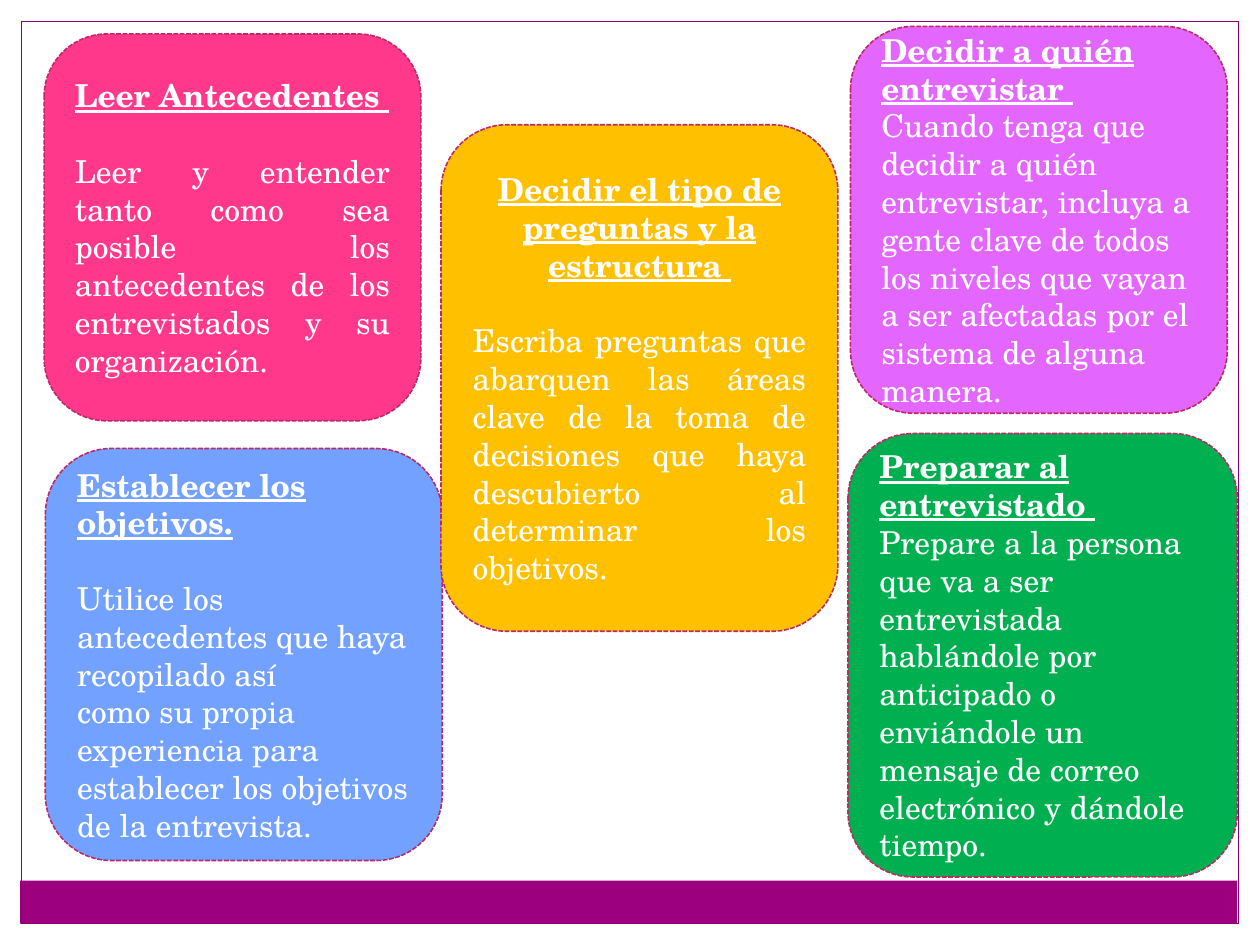
import pptx
import pptx.util
import pptx.dml.color
import pptx.enum.dml
import pptx.enum.shapes
import pptx.enum.text

Inches = pptx.util.Inches
Pt = pptx.util.Pt
Kind = pptx.enum.shapes.MSO_SHAPE
Align = pptx.enum.text.PP_ALIGN
DASH = pptx.enum.dml.MSO_LINE.SQUARE_DOT
LINE_GAP = 21.6  # height of one text line, in points


def color(code):
    return pptx.dml.color.RGBColor.from_string(code)


class Deck:
    font = "TeX Gyre Schola"
    size = 18
    ink = "FFFFFF"
    edge = "BD2968"

    def __init__(self, wide, high):
        self.show = pptx.Presentation()
        self.show.slide_width = Inches(wide)
        self.show.slide_height = Inches(high)
        self.slide = self.show.slides.add_slide(self.show.slide_layouts[6])

    def shape(self, kind, box, fill=None, line=None, width=0.75, dash=None):
        item = self.slide.shapes.add_shape(kind, *map(Inches, box))
        item.shadow.inherit = False
        if fill:
            item.fill.solid()
            item.fill.fore_color.rgb = color(fill)
        else:
            item.fill.background()
        if line:
            item.line.color.rgb = color(line)
            style = {"width": Pt(width), "dash_style": dash}
            for key, value in style.items():
                setattr(item.line, key, value)
        else:
            item.line.fill.background()
        return item

    def label(self, para, text, align, strong=False):
        para.alignment = align
        run = para.add_run()
        run.text = text
        style = {"name": self.font, "size": Pt(self.size),
                 "bold": strong, "underline": strong}
        for key, value in style.items():
            setattr(run.font, key, value)
        run.font.color.rgb = color(self.ink)

    def card(self, box, fill, head, body, gap=0,
             top=Align.LEFT, flow=Align.LEFT):
        item = self.shape(Kind.ROUNDED_RECTANGLE, box, fill,
                          self.edge, 0.9, DASH)
        frame = item.text_frame
        frame.word_wrap = True
        frame.vertical_anchor = pptx.enum.text.MSO_ANCHOR.MIDDLE
        title = frame.paragraphs[0]
        self.label(title, head, top, strong=True)
        title.space_after = Pt(gap)
        for text in body:
            self.label(frame.add_paragraph(), text, flow)


def main():
    deck = Deck(10, 7.5)

    # Bottom band and page frame
    deck.shape(Kind.RECTANGLE, (0.16, 6.99, 9.66, 0.34), fill="9C007F")
    deck.shape(Kind.RECTANGLE, (0.17, 0.17, 9.66, 7.16), line="8A0070")

    # Left column
    deck.card((0.35, 0.27, 2.99, 3.07), "FF388C", "Leer Antecedentes ", [
        "Leer y entender tanto como sea posible los antecedentes de los "
        "entrevistados y su organización.",
    ], gap=LINE_GAP, flow=Align.JUSTIFY)
    deck.card((0.36, 3.56, 3.15, 3.27), "72A1FF", "Establecer los objetivos.", [
        "Utilice los antecedentes que haya recopilado así",
        "como su propia experiencia para establecer los objetivos de la "
        "entrevista.",
    ], gap=LINE_GAP)

    # Right column
    deck.card((6.75, 0.21, 2.99, 3.07), "E366FF",
              "Decidir a quién entrevistar ", [
        "Cuando tenga que decidir a quién entrevistar, incluya a gente clave "
        "de todos los niveles que vayan a ser afectadas por el sistema de "
        "alguna manera.",
    ])
    deck.card((6.73, 3.44, 3.09, 3.52), "00B050", "Preparar al entrevistado ", [
        "Prepare a la persona que va a ser entrevistada hablándole por",
        "anticipado o enviándole un mensaje de correo electrónico y dándole "
        "tiempo.",
    ])

    # Centre card
    deck.card((3.5, 0.99, 3.15, 4.02), "FFC000",
              "Decidir el tipo de preguntas y la estructura ", [
        "Escriba preguntas que abarquen las áreas clave de la toma de "
        "decisiones que haya descubierto al determinar los objetivos.",
    ], gap=LINE_GAP, top=Align.CENTER, flow=Align.JUSTIFY)

    deck.show.save("out.pptx")


if __name__ == "__main__":
    main()
